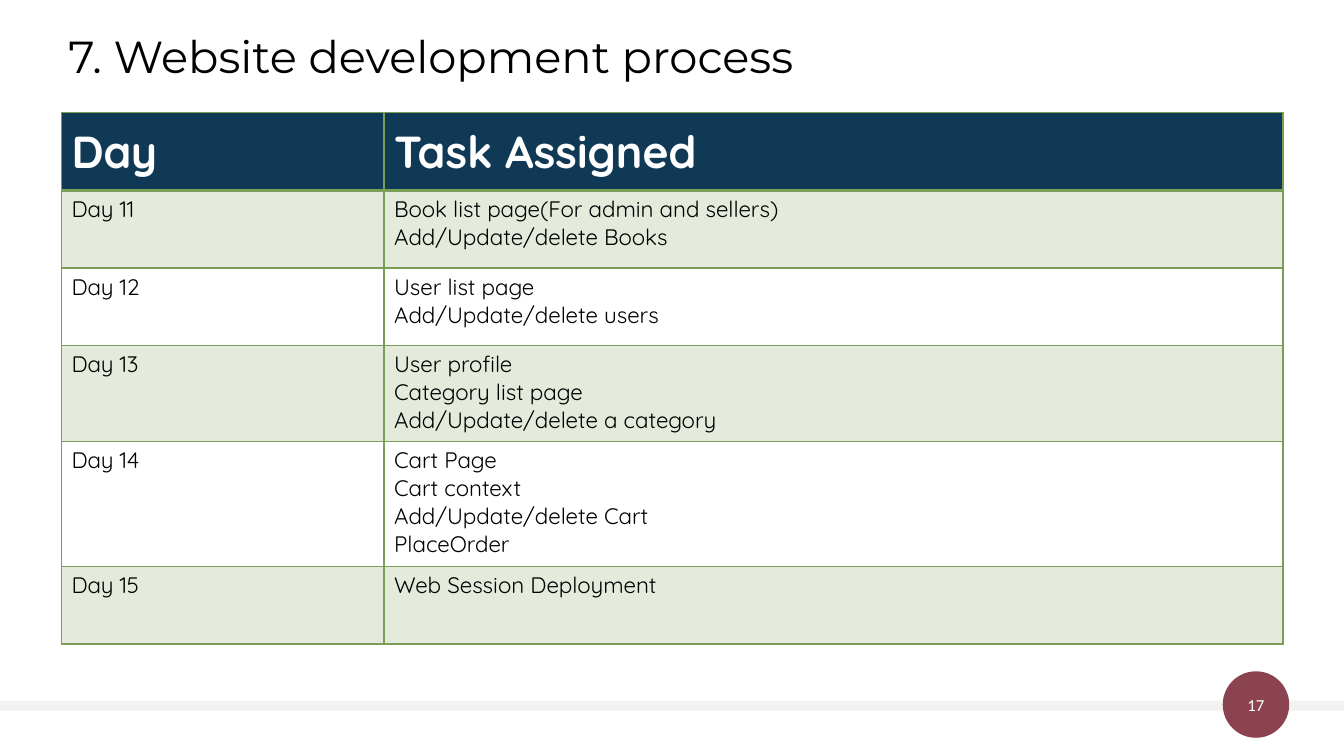
from lxml.etree import SubElement
from pptx import Presentation
from pptx.dml.color import RGBColor
from pptx.enum.shapes import MSO_SHAPE
from pptx.enum.text import MSO_ANCHOR, PP_ALIGN
from pptx.oxml.ns import qn
from pptx.util import Pt

GREEN, NAVY, PLUM = "7A9E56", "0F3955", "8A434F"
WHITE, BLACK, GREY = "FFFFFF", "000000", "F2F2F2"
COLS = [230.4, 642.2]
ROWS = [55.4, 55.4, 55.4, 68.6, 89.3, 55.4]
TASKS = [
    ("Day 11", "Book list page(For admin and sellers)", "Add/Update/delete Books"),
    ("Day 12", "User list page", "Add/Update/delete users"),
    ("Day 13", "User profile", "Category list page", "Add/Update/delete a category"),
    ("Day 14", "Cart Page", "Cart context", "Add/Update/delete Cart", "PlaceOrder"),
    ("Day 15", "Web Session Deployment"),
]


def paint(fill, tint):
    """Fill with a solid hex colour."""
    fill.solid()
    fill.fore_color.rgb = RGBColor.from_string(tint)


def write(frame, lines, face, size, tint, bold=False, align=None):
    """Write each line as one paragraph with one run."""
    for i, line in enumerate(lines):
        para = frame.add_paragraph() if i else frame.paragraphs[0]
        para.alignment = align
        run = para.add_run()
        run.text = line
        font = run.font
        font.name, font.size, font.bold = face, Pt(size), bold
        font.color.rgb = RGBColor.from_string(tint)


def shape(slide, kind, box, tint):
    """Add a plain filled shape."""
    item = slide.shapes.add_shape(kind, *map(Pt, box))
    item.shadow.inherit = False
    paint(item.fill, tint)
    item.line.fill.background()
    return item


def border(cell, widths):
    """Draw the left, right, top and bottom borders of a cell."""
    props = cell._tc.get_or_add_tcPr()
    for side, width in zip("LRTB", widths):
        line = SubElement(props, qn(f"a:ln{side}"), w=str(Pt(width)))
        SubElement(SubElement(line, qn("a:solidFill")), qn("a:srgbClr"), val=GREEN)


def title(slide, box, text):
    """Place the slide title."""
    frame = slide.shapes.add_textbox(*map(Pt, box)).text_frame
    frame.word_wrap = True
    write(frame, [text], "Montserrat", 32, BLACK)


def plan(slide, left, top):
    """Place the table of days and tasks."""
    box = map(Pt, (left, top, sum(COLS), sum(ROWS)))
    grid = slide.shapes.add_table(len(ROWS), len(COLS), *box).table
    grid.horz_banding = False
    for col, width in zip(grid.columns, COLS):
        col.width = Pt(width)
    for row, height in zip(grid.rows, ROWS):
        row.height = Pt(height)
    for r, (day, *tasks) in enumerate([("Day", "Task Assigned"), *TASKS]):
        for c, lines in enumerate(([day], tasks)):
            cell = grid.cell(r, c)
            border(cell, (1, 1, 2 if r == 1 else 1, 2 if r == 0 else 1))
            if r == 0:
                paint(cell.fill, NAVY)
                cell.vertical_anchor = MSO_ANCHOR.MIDDLE
                write(cell.text_frame, lines, "Quicksand", 32, WHITE, True)
                continue
            if r % 2:
                paint(cell.fill, GREEN)
                tone = cell._tc.tcPr.find(qn("a:solidFill"))[0]
                SubElement(tone, qn("a:alpha"), val="20000")
            else:
                cell.fill.background()
            write(cell.text_frame, lines, "Quicksand", 16, BLACK)


def footer(slide, top, width, page):
    """Place the bottom bar and the page number disc."""
    shape(slide, MSO_SHAPE.RECTANGLE, (0, top + 20.9, width, 7.2), GREY)
    disc = shape(slide, MSO_SHAPE.OVAL, (width - 86.6, top, 47.5, 47.5), PLUM)
    frame = disc.text_frame
    frame.margin_left = frame.margin_right = 0
    frame.margin_top = frame.margin_bottom = 0
    frame.vertical_anchor = MSO_ANCHOR.MIDDLE
    write(frame, [page], "Calibri", 12, WHITE, align=PP_ALIGN.CENTER)


def main():
    """Build and save the slide."""
    deck = Presentation()
    deck.slide_width, deck.slide_height = Pt(960), Pt(540)
    slide = deck.slides.add_slide(deck.slide_layouts[6])
    footer(slide, 479.5, 960, "17")
    plan(slide, 43.9, 80.6)
    title(slide, (41.8, 17.3, 861.8, 46), "7. Website development process")
    deck.save("out.pptx")


if __name__ == "__main__":
    main()
